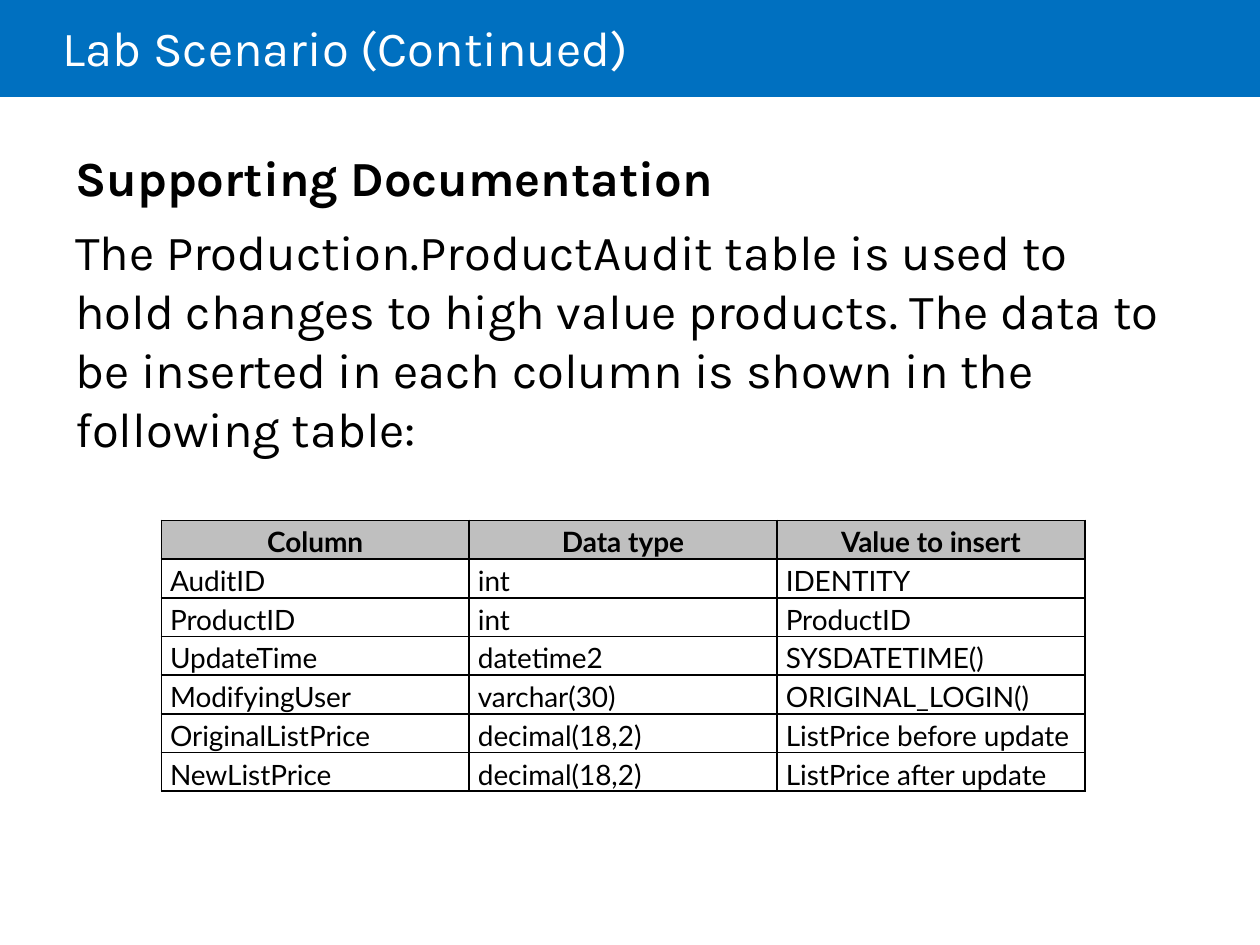
import dataclasses

import lxml.etree
import pptx
import pptx.dml.color
import pptx.enum.shapes
import pptx.enum.text
import pptx.oxml.ns
import pptx.util

Inches = pptx.util.Inches
Pt = pptx.util.Pt
ALIGN = pptx.enum.text.PP_ALIGN
ANCHOR = pptx.enum.text.MSO_ANCHOR


@dataclasses.dataclass(frozen=True)
class Theme:
    band: str = "0070C0"
    head: str = "BFBFBF"
    paper: str = "FFFFFF"
    ink: str = "000000"
    font: str = "Karla"
    grid_font: str = "Lato"
    big: int = 28
    small: int = 16
    line: int = 1


THEME = Theme()

ROWS = [
    ("Column", "Data type", "Value to insert"),
    ("AuditID", "int", "IDENTITY"),
    ("ProductID", "int", "ProductID"),
    ("UpdateTime", "datetime2", "SYSDATETIME()"),
    ("ModifyingUser", "varchar(30)", "ORIGINAL_LOGIN()"),
    ("OriginalListPrice", "decimal(18,2)", "ListPrice before update"),
    ("NewListPrice", "decimal(18,2)", "ListPrice after update"),
]


def color(code):
    return pptx.dml.color.RGBColor.from_string(code)


def write(para, text, *, size=THEME.big, font=THEME.font, ink=THEME.ink,
          bold=False, align=ALIGN.LEFT, lines=None, before=0, after=0):
    para.alignment = align
    para.line_spacing = lines
    para.space_before = Pt(before)
    para.space_after = Pt(after)
    run = para.add_run()
    run.text = text
    run.font.name = font
    run.font.size = Pt(size)
    run.font.bold = bold
    run.font.color.rgb = color(ink)


def add_frame(slide, box, anchor=ANCHOR.TOP):
    frame = slide.shapes.add_textbox(*map(Inches, box)).text_frame
    frame.word_wrap = True
    frame.vertical_anchor = anchor
    return frame


def add_title(slide, box, text):
    left, top, width, height = box
    band = slide.shapes.add_shape(
        pptx.enum.shapes.MSO_SHAPE.RECTANGLE, *map(Inches, box))
    band.shadow.inherit = False
    band.fill.solid()
    band.fill.fore_color.rgb = color(THEME.band)
    band.line.fill.background()
    frame = add_frame(slide, (left + 0.5, top, width - 1.5, height + 0.04),
                      ANCHOR.MIDDLE)
    frame.margin_left = 0
    write(frame.paragraphs[0], text, ink=THEME.paper, lines=0.85)


def add_body(slide, box, head, text):
    frame = add_frame(slide, box)
    write(frame.paragraphs[0], head, bold=True, after=3)
    write(frame.add_paragraph(), text, before=6, after=8)


def add_border(cell):
    """Rule all four sides; the lines must precede the cell's fill."""
    props = cell._tc.get_or_add_tcPr()
    qn = pptx.oxml.ns.qn
    for spot, side in enumerate(("a:lnL", "a:lnR", "a:lnT", "a:lnB")):
        line = lxml.etree.Element(qn(side), w=str(Pt(THEME.line)))
        fill = lxml.etree.SubElement(line, qn("a:solidFill"))
        lxml.etree.SubElement(fill, qn("a:srgbClr"), val=THEME.ink)
        props.insert(spot, line)


def add_grid(slide, box, rows):
    table = slide.shapes.add_table(
        len(rows), len(rows[0]), *map(Inches, box)).table
    for r, row in enumerate(rows):
        top = r == 0
        for c, text in enumerate(row):
            cell = table.cell(r, c)
            cell.margin_left = cell.margin_right = Inches(0.07)
            cell.margin_top = cell.margin_bottom = 0
            if top:
                cell.fill.solid()
                cell.fill.fore_color.rgb = color(THEME.head)
            else:
                cell.fill.background()
            add_border(cell)
            write(cell.text_frame.paragraphs[0], text, size=THEME.small,
                  font=THEME.grid_font, bold=top, lines=1.15,
                  align=ALIGN.CENTER if top else ALIGN.LEFT)


def main():
    deck = pptx.Presentation()
    deck.slide_width = Inches(10)
    deck.slide_height = Inches(7.5)
    slide = deck.slides.add_slide(deck.slide_layouts[6])
    add_title(slide, (0, 0, 10, 0.77), "Lab Scenario (Continued)")
    add_body(slide, (0.5, 1.12, 8.88, 2.58), "Supporting Documentation",
             "The Production.ProductAudit table is used to hold changes to "
             "high value products. The data to be inserted in each column "
             "is shown in the following table:")
    add_grid(slide, (1.28, 4.13, 7.33, 2.15), ROWS)
    deck.save("out.pptx")


if __name__ == "__main__":
    main()
